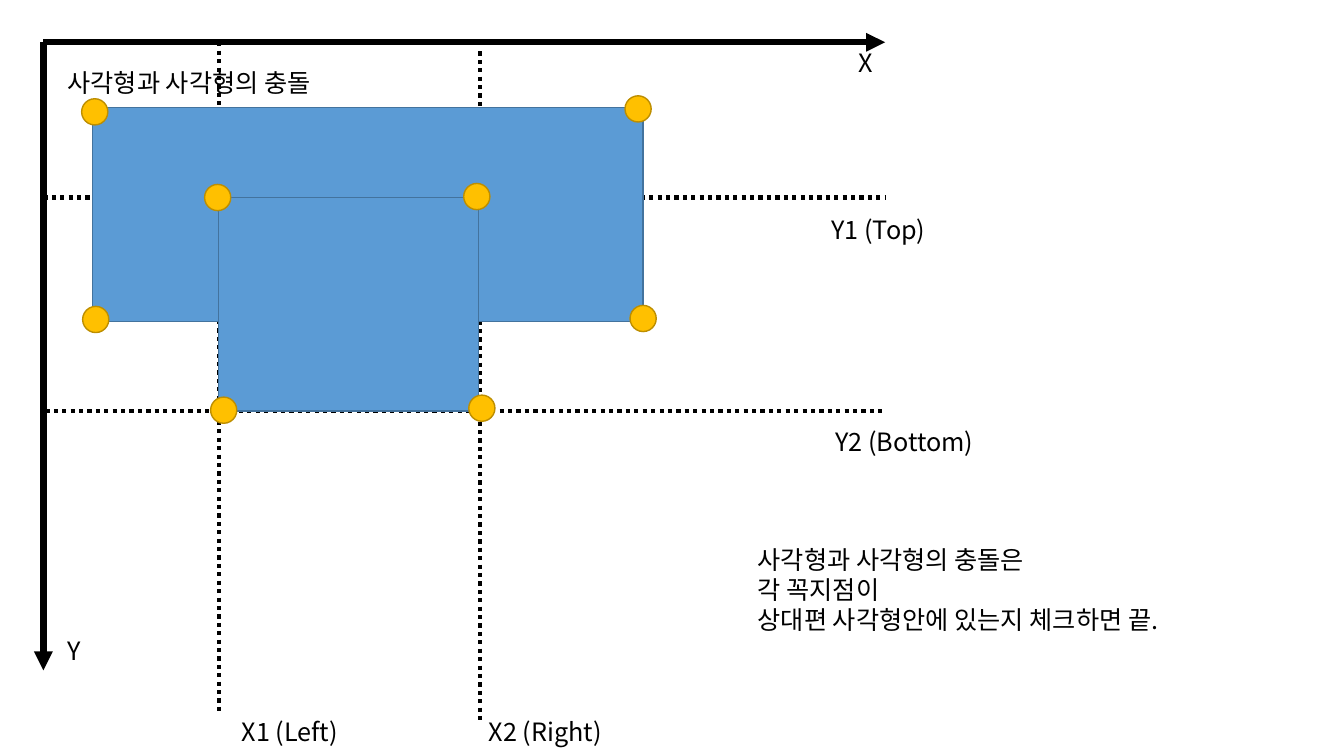
from lxml import etree
from pptx import Presentation
from pptx.dml.color import RGBColor
from pptx.enum.dml import MSO_LINE
from pptx.enum.shapes import MSO_CONNECTOR, MSO_SHAPE
from pptx.enum.text import MSO_ANCHOR, MSO_AUTO_SIZE, PP_ALIGN
from pptx.oxml.ns import qn
from pptx.util import Pt

STRAIGHT = MSO_CONNECTOR.STRAIGHT
RECT, OVAL = MSO_SHAPE.RECTANGLE, MSO_SHAPE.OVAL
DOTTED = MSO_LINE.ROUND_DOT
LEFT, TOP = PP_ALIGN.LEFT, MSO_ANCHOR.TOP
FIT, NO_FIT = MSO_AUTO_SIZE.SHAPE_TO_FIT_TEXT, MSO_AUTO_SIZE.NONE

# Content, lengths in points
FONT = "Noto Sans CJK KR"
BLACK, BLUE, BLUE_EDGE = "000000", "5B9BD5", "43739E"
GOLD, GOLD_EDGE = "FFC000", "BD8E00"
DOT = 18.7
LINE_HEIGHT = 29

TITLE = ("사각형과 사각형의 충돌", 41, 44.6, 199.4)
AXES = [(31, 30.2, 632.2, 30.2), (31, 30.2, 31, 478.8)]
GUIDES = [
    (156.2, 30.2, 156.2, 509),
    (342.7, 36.7, 342.7, 516.2),
    (31, 141.1, 632.2, 141.1),
    (32.4, 293.8, 632.9, 293.8),
]
# text, left, top, width
LABELS = [
    ("X", 606.2, 30.2, 26.6),
    ("Y", 41, 450, 26.6),
    ("X1 (Left)", 165.6, 508.3, 90),
    ("X2 (Right)", 342, 508.3, 101.5),
    ("Y1 (Top)", 586.8, 149.8, 86.4),
    ("Y2 (Bottom)", 589.7, 301, 119.5),
]
NOTE = ("사각형과 사각형의 충돌은\n각 꼭지점이\n상대편 사각형안에 있는지 체크하면 끝.",
        534.2, 385.2, 334.8)
# rectangle box, then the centres of its corner dots
BOXES = [
    ((66.2, 77, 393.1, 152.6),
     [(67.7, 79.9), (455.8, 77.8), (459.4, 227.5), (68.4, 228.2)]),
    ((156.2, 141.1, 185.8, 152.6),
     [(340.6, 140.4), (344.2, 291.6), (159.8, 293), (155.5, 141.1)]),
]


def rgb(color):
    return RGBColor.from_string(color)


def add_line(ends, width, arrow=False):
    line = s.shapes.add_connector(STRAIGHT, *map(Pt, ends))
    line.line.color.rgb = rgb(BLACK)
    line.line.width = Pt(width)
    if arrow:
        etree.SubElement(line.line._ln, qn("a:tailEnd"), type="triangle")
    else:
        line.line.dash_style = DOTTED
    etree.SubElement(line._element.spPr, qn("a:effectLst"))


def add_shape(parent, kind, box, fill, edge):
    sp = parent.shapes.add_shape(kind, *map(Pt, box))
    sp.shadow.inherit = False
    sp.fill.solid()
    sp.fill.fore_color.rgb = rgb(fill)
    sp.line.color.rgb = rgb(edge)
    sp.line.width = Pt(1)


def write(sp, text, fit):
    tf = sp.text_frame
    tf.text = text
    tf.word_wrap = False
    tf.auto_size = fit
    tf.vertical_anchor = TOP
    for p in tf.paragraphs:
        p.alignment = LEFT
        for r in p.runs:
            r.font.size = Pt(18)
            r.font.color.rgb = rgb(BLACK)
            r.font.name = FONT
            etree.SubElement(r.font._element, qn("a:ea"), typeface=FONT)


def add_text(text, left, top, width):
    height = LINE_HEIGHT + 22 * text.count("\n")
    write(s.shapes.add_textbox(*map(Pt, (left, top, width, height))), text, FIT)


prs = Presentation()
prs.slide_width, prs.slide_height = Pt(960), Pt(540)
s = prs.slides.add_slide(prs.slide_layouts[5])

# Title
text, left, top, width = TITLE
title = s.shapes.title
title.left, title.top = Pt(left), Pt(top)
title.width, title.height = Pt(width), Pt(LINE_HEIGHT)
write(title, text, NO_FIT)

# Axes, guides and their labels
for ends in AXES:
    add_line(ends, 4.5, arrow=True)
for ends in GUIDES:
    add_line(ends, 3)
for label in LABELS:
    add_text(*label)

# Rectangles grouped with their corner dots
for box, corners in BOXES:
    group = s.shapes.add_group_shape()
    add_shape(group, RECT, box, BLUE, BLUE_EDGE)
    for x, y in corners:
        add_shape(group, OVAL, (x - DOT / 2, y - DOT / 2, DOT, DOT), GOLD, GOLD_EDGE)

# Explanation
add_text(*NOTE)

prs.save("out.pptx")
